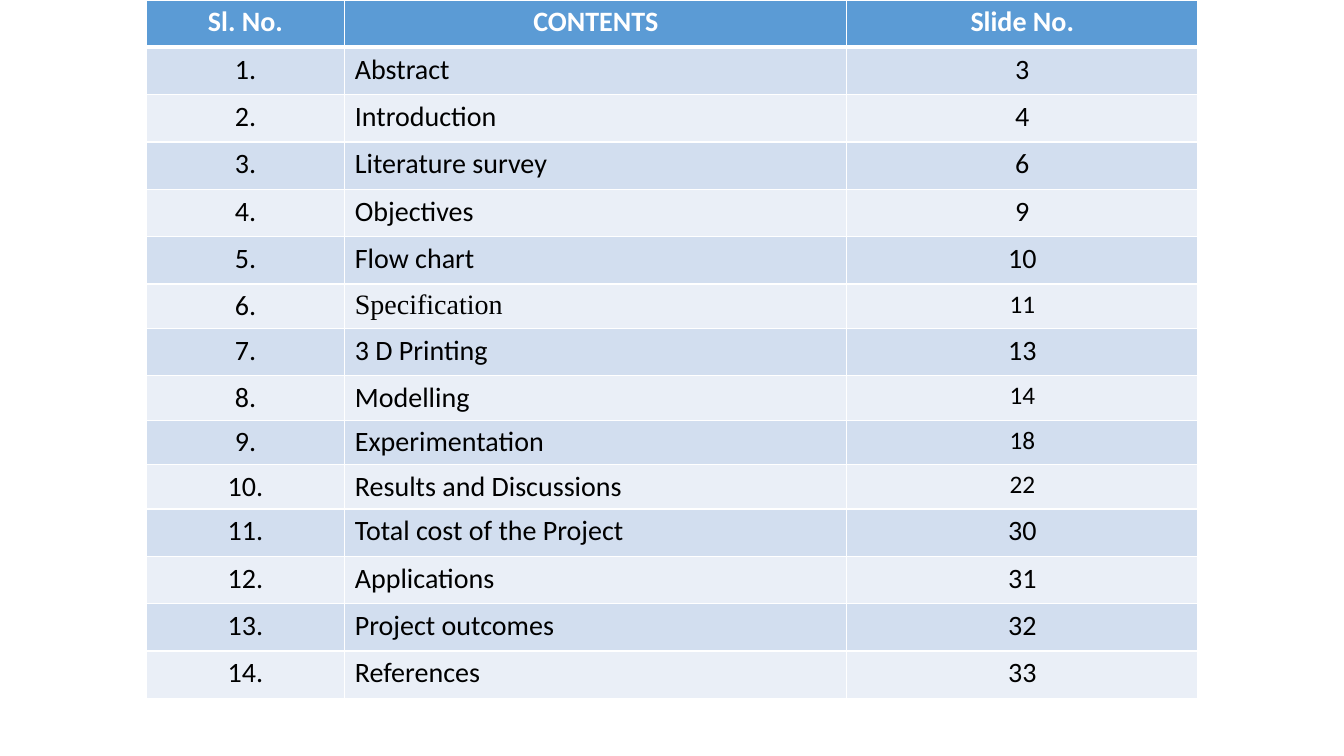
import pptx
import pptx.dml.color
import pptx.enum.text
import pptx.oxml
import pptx.oxml.ns
import pptx.util
from dataclasses import dataclass

Inches = pptx.util.Inches
Pt = pptx.util.Pt
RGB = pptx.dml.color.RGBColor.from_string


@dataclass(frozen=True)
class Theme:
    header_fill: str = "5B9BD5"
    odd_fill: str = "D2DEEF"
    even_fill: str = "EAEFF7"
    header_text: str = "FFFFFF"
    body_text: str = "000000"
    border: str = "FFFFFF"
    font: str = "Calibri"
    serif_font: str = "Times New Roman"
    text_size: int = 20
    small_size: int = 18
    thin_line: int = 1
    header_line: int = 3


theme = Theme()

HEADINGS = ("Sl. No.", "CONTENTS", "Slide No.")
TOPICS = [
    ("Abstract", 3),
    ("Introduction", 4),
    ("Literature survey", 6),
    ("Objectives", 9),
    ("Flow chart", 10),
    ("Specification", 11),
    ("3 D Printing", 13),
    ("Modelling", 14),
    ("Experimentation", 18),
    ("Results and Discussions", 22),
    ("Total cost of the Project", 30),
    ("Applications", 31),
    ("Project outcomes", 32),
    ("References", 33),
]
COMPACT_ROWS = {6, 8, 9, 10}  # lower rows with a smaller slide number
COLUMN_WIDTHS = (1.97, 4.98, 3.48)
ROW_HEIGHT, COMPACT_HEIGHT = 0.47, 0.44


def add_border(cell, side, points):
    """Draw one side (L, R, T or B) of a cell; call before setting its fill."""
    cell._tc.get_or_add_tcPr().append(pptx.oxml.parse_xml(
        f'<a:ln{side} {pptx.oxml.ns.nsdecls("a")} w="{Pt(points)}">'
        f'<a:solidFill><a:srgbClr val="{theme.border}"/></a:solidFill>'
        f'</a:ln{side}>'))


prs = pptx.Presentation()
prs.slide_width, prs.slide_height = Inches(13.33), Inches(7.5)
slide = prs.slides.add_slide(prs.slide_layouts[6])

rows = [HEADINGS] + [
    (f"{number}.", topic, str(page))
    for number, (topic, page) in enumerate(TOPICS, start=1)
]
heights = [COMPACT_HEIGHT if r in COMPACT_ROWS else ROW_HEIGHT
           for r in range(len(rows))]
contents = slide.shapes.add_table(
    len(rows), len(HEADINGS), Inches(1.45), Inches(0),
    Inches(sum(COLUMN_WIDTHS)), Inches(sum(heights))).table

for column, width in zip(contents.columns, COLUMN_WIDTHS):
    column.width = Inches(width)

for r, texts in enumerate(rows):
    contents.rows[r].height = Inches(heights[r])
    is_header = r == 0
    if is_header:
        fill = theme.header_fill
    else:
        fill = theme.odd_fill if r % 2 else theme.even_fill

    for c, text in enumerate(texts):
        cell = contents.cell(r, c)
        for side in "LRTB":
            under_header = (r, side) in {(0, "B"), (1, "T")}
            add_border(cell, side,
                       theme.header_line if under_header else theme.thin_line)
        cell.fill.solid()
        cell.fill.fore_color.rgb = RGB(fill)

        cell.text = text
        entry = cell.text_frame.paragraphs[0]
        if is_header or c != 1:
            entry.alignment = pptx.enum.text.PP_ALIGN.CENTER
        is_small = c == 2 and r in COMPACT_ROWS
        entry.font.size = Pt(theme.small_size if is_small else theme.text_size)
        entry.font.name = (theme.serif_font if text == "Specification"
                           else theme.font)
        entry.font.bold = is_header
        entry.font.color.rgb = RGB(theme.header_text if is_header
                                   else theme.body_text)

prs.save("out.pptx")
